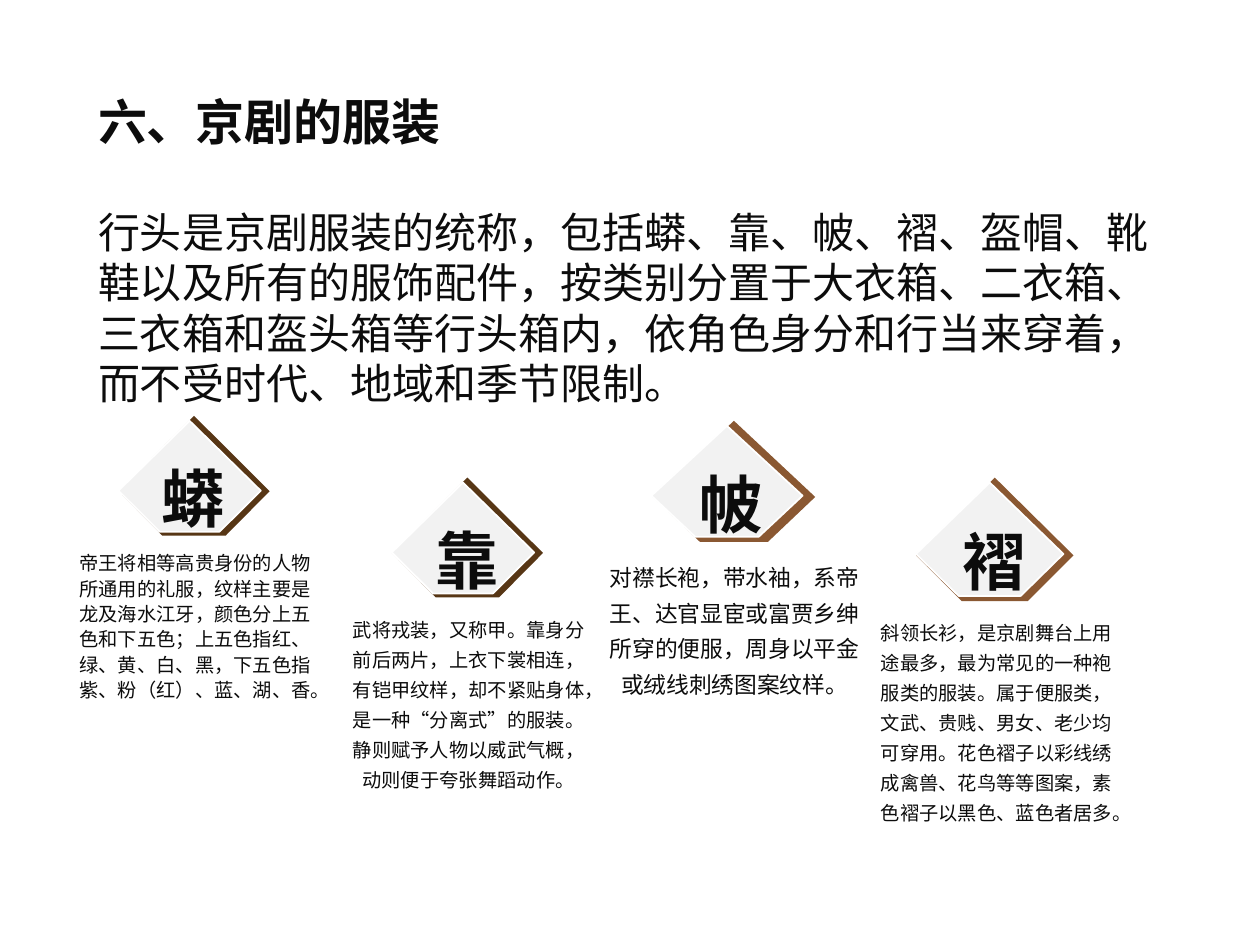
import pptx
import pptx.util
import pptx.dml.color
import pptx.enum.text

Inches = pptx.util.Inches
RGBColor = pptx.dml.color.RGBColor
Anchor = pptx.enum.text.MSO_ANCHOR
Align = pptx.enum.text.PP_ALIGN

INK = RGBColor(0x0C, 0x0C, 0x0C)
DARK_BROWN = RGBColor(0x57, 0x36, 0x15)
LIGHT_BROWN = RGBColor(0x8A, 0x58, 0x32)
PALE_GREY = RGBColor(0xF2, 0xF2, 0xF2)
WHITE = RGBColor(0xFF, 0xFF, 0xFF)

HEADING_FONT = "Noto Sans CJK SC"
CARD_FONT = "Arial"

# Corners of the cut diamond, as fractions of its box
DIAMOND = [(0.5, 0), (1, 0.63), (0.71, 1), (0.29, 1), (0, 0.63)]

TITLE = "六、京剧的服装"
INTRODUCTION = (
    "行头是京剧服装的统称，包括蟒、靠、帔、褶、盔帽、靴鞋以及所有的服饰配件，"
    "按类别分置于大衣箱、二衣箱、三衣箱和盔头箱等行头箱内，"
    "依角色身分和行当来穿着，而不受时代、地域和季节限制。"
)

# Name, edge colour, edge box, face box, text box, text size, line spacing, text
COSTUMES = [
    ("蟒", DARK_BROWN, (0.94, 3.3, 1.2, 0.95), (0.94, 3.34, 1.13, 0.88),
     (0.5, 4.31, 2.1, 1.53), 11, 1.1,
     "帝王将相等高贵身份的人物所通用的礼服，纹样主要是龙及海水江牙，"
     "颜色分上五色和下五色；上五色指红、绿、黄、白、黑，"
     "下五色指紫、粉（红）、蓝、湖、香。"),
    ("帔", LIGHT_BROWN, (5.18, 3.34, 1.29, 0.96), (5.17, 3.38, 1.2, 0.88),
     (4.71, 4.36, 2.24, 1.39), 13, 1.3,
     "对襟长袍，带水袖，系帝王、达官显宦或富贾乡绅所穿的便服，"
     "周身以平金或绒线刺绣图案纹样。"),
    ("靠", DARK_BROWN, (3.11, 3.79, 1.2, 0.95), (3.11, 3.83, 1.13, 0.88),
     (2.67, 4.8, 2.1, 1.65), 11, 1.3,
     "武将戎装，又称甲。靠身分前后两片，上衣下裳相连，有铠甲纹样，"
     "却不紧贴身体，是一种“分离式”的服装。"
     "静则赋予人物以威武气概，动则便于夸张舞蹈动作。"),
    ("褶", LIGHT_BROWN, (7.27, 3.79, 1.25, 0.98), (7.27, 3.83, 1.17, 0.9),
     (6.82, 4.83, 2.18, 1.94), 11, 1.3,
     "斜领长衫，是京剧舞台上用途最多，最为常见的一种袍服类的服装。"
     "属于便服类，文武、贵贱、男女、老少均可穿用。"
     "花色褶子以彩线绣成禽兽、花鸟等等图案，素色褶子以黑色、蓝色者居多。"),
]


def write_text(shape, text, size, font_name, bold=False, alignment=Align.LEFT,
               line_spacing=None, anchor=Anchor.TOP):
    frame = shape.text_frame
    frame.word_wrap = True
    frame.vertical_anchor = anchor
    paragraph = frame.paragraphs[0]
    paragraph.text = text
    paragraph.alignment = alignment
    paragraph.line_spacing = line_spacing
    font = paragraph.font
    font.size = pptx.util.Pt(size)
    font.bold = bold
    font.name = font_name
    font.color.rgb = INK


def add_text(slide, box, text, size, font_name, **style):
    shape = slide.shapes.add_textbox(*map(Inches, box))
    write_text(shape, text, size, font_name, **style)


def add_diamond(slide, box, color):
    left, top, width, height = box
    corners = [(Inches(left + x * width), Inches(top + y * height)) for x, y in DIAMOND]
    builder = slide.shapes.build_freeform(*corners[0])
    builder.add_line_segments(corners[1:], close=True)
    shape = builder.convert_to_shape()
    shape.shadow.inherit = False
    shape.fill.solid()
    shape.fill.fore_color.rgb = color
    shape.line.fill.background()
    return shape


def add_costume(slide, name, color, edge_box, face_box, text_box, size, spacing, text):
    # Coloured edge behind the pale face
    add_diamond(slide, edge_box, color)
    face = add_diamond(slide, face_box, PALE_GREY)
    face.line.color.rgb = WHITE
    face.line.width = pptx.util.Pt(1)
    # Costume name, set low in the face
    face.text_frame.margin_left = Inches(0.16)
    face.text_frame.margin_top = Inches(0.39)
    write_text(face, name, 36, HEADING_FONT, bold=True,
               alignment=Align.CENTER, anchor=Anchor.MIDDLE)
    # Description
    add_text(slide, text_box, text, size, CARD_FONT,
             alignment=Align.CENTER, line_spacing=spacing)


def main():
    presentation = pptx.Presentation()
    presentation.slide_width = Inches(10)
    presentation.slide_height = Inches(7.5)
    slide = presentation.slides.add_slide(presentation.slide_layouts[6])
    # Heading and introduction
    add_text(slide, (0.68, 0.75, 5.98, 0.49), TITLE, 28, HEADING_FONT,
             bold=True, anchor=Anchor.BOTTOM)
    add_text(slide, (0.68, 1.59, 8.63, 5.07), INTRODUCTION, 24, HEADING_FONT)
    # Four costumes
    for costume in COSTUMES:
        add_costume(slide, *costume)
    presentation.save("out.pptx")


if __name__ == "__main__":
    main()
